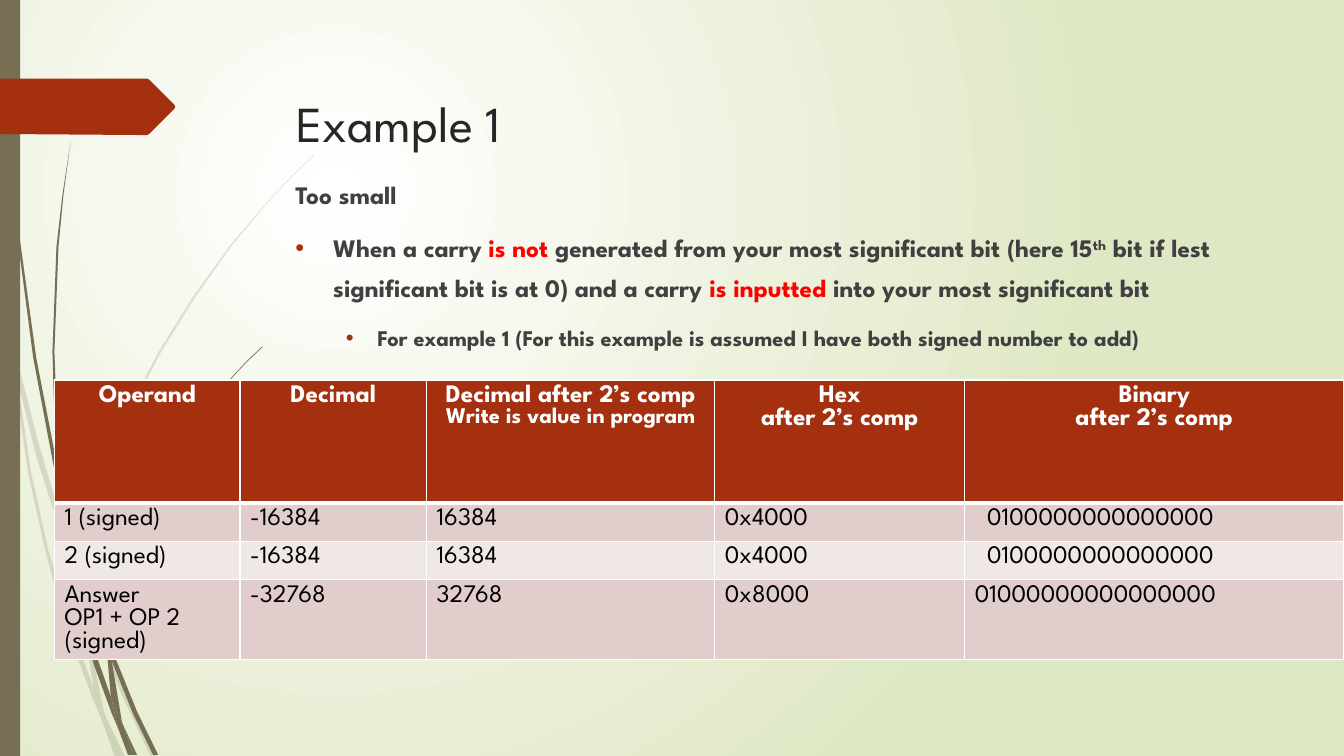
"""Build the "Example 1" slide on signed overflow when a sum is too small."""
from pptx import Presentation, oxml, util as u
from pptx.dml import color
from pptx.enum import shapes, text
from pptx.oxml import ns

FONT = "League Spartan"
RUST, OLIVE, RED, WHITE, GREY = "A53010", "766F54", "FF0000", "FFFFFF", "404040"
BANDS = ["E1CDCC", "F0E8E7"]
HUNDREDTH_INCH = u.Pt(0.72)

PALE_STALKS = [
    [(11, 350), (9, 322), (0, 282), (0, 299), (10, 344)],
    [(58, 522), (84, 599), (85, 586), (62, 520), (38, 439), (14, 345), (17, 376), (36, 453)],
    [(92, 607), (88, 596), (88, 610), (123, 694), (150, 751), (155, 751), (127, 692)],
    [(119, 751), (124, 751), (105, 711)],
    [(93, 683), (70, 619), (48, 546), (31, 469), (17, 376), (11, 350), (28, 470),
     (45, 546), (65, 621), (92, 693), (101, 714), (99, 707)],
    [(84, 599), (87, 646), (93, 683), (96, 692), (105, 711), (103, 706), (91, 646),
     (88, 610), (88, 608)],
    [(88, 584), (93, 522), (110, 462), (131, 404), (160, 349), (193, 296), (229, 245),
     (268, 198), (290, 175), (312, 154), (312, 153), (289, 175), (268, 197), (228, 244),
     (191, 295), (158, 348), (129, 403), (107, 461), (91, 522), (85, 584), (85, 586), (88, 596)],
    [(101, 714), (114, 751), (119, 751)],
    [(88, 608), (88, 610), (88, 596), (85, 586), (84, 599)],
    [(96, 692), (93, 683), (99, 707), (101, 714), (119, 751), (105, 711)],
]
DARK_STALKS = [
    [(7, 110), (17, 233), (33, 355), (56, 477), (57, 481), (55, 457), (55, 453), (36, 355),
     (19, 232), (8, 109), (5, 48), (4, 0), (3, 0), (4, 48)],
    [(88, 592), (106, 645), (106, 633), (106, 631), (93, 590), (75, 531), (60, 472),
     (64, 505), (75, 549)],
    [(113, 649), (110, 641), (111, 656), (132, 708), (152, 749), (157, 749), (136, 706)],
    [(110, 691), (98, 657), (84, 608), (72, 556), (64, 505), (57, 477), (68, 557),
     (79, 608), (93, 659), (111, 708), (117, 722), (116, 717)],
    [(60, 472), (58, 453), (54, 349), (58, 245), (63, 193), (70, 141), (62, 193),
     (56, 245), (52, 349), (55, 449)],
    [(133, 749), (136, 749), (122, 719)],
    [(57, 477), (64, 505), (60, 472), (55, 449), (55, 453)],
    [(111, 633), (115, 592), (125, 552), (140, 513), (158, 476), (180, 440), (205, 406),
     (231, 374), (245, 359), (261, 344), (260, 344), (245, 358), (231, 373), (204, 405),
     (179, 439), (156, 474), (137, 512), (122, 551), (111, 591), (106, 631), (110, 641)],
    [(117, 722), (127, 749), (131, 749)],
    [(106, 645), (110, 691), (116, 706), (122, 719), (121, 716), (111, 656), (109, 651)],
    [(106, 645), (109, 651), (111, 656), (110, 641), (106, 631), (106, 633)],
    [(116, 706), (110, 691), (116, 717), (117, 722), (130, 749), (133, 749), (122, 719)],
]
ARROW = [(173, 108), (148, 133), (146, 134), (136, 134), (0, 133), (0, 78), (146, 78),
         (148, 79), (173, 104), (174, 106)]

HEADERS = [
    [("Operand", 18)],
    [("Decimal", 18)],
    [("Decimal after 2’s comp", 18), ("Write is value in program", 16)],
    [("Hex", 18), ("after 2’s comp", 18)],
    [("Binary", 18), ("after 2’s comp", 18)],
]
ROWS = [
    ["1 (signed)", "-16384", "16384", "0x4000", "0100000000000000"],
    ["2 (signed)", "-16384", "16384", "0x4000", "0100000000000000"],
    ["Answer\nOP1 + OP 2\n(signed)", "-32768", "32768", "0x8000", "01000000000000000"],
]
COLUMN_WIDTHS = [132.5, 133.2, 205.9, 178.6, 270.7]
ROW_HEIGHTS = [87.8, 27.4, 27.4, 47.5]


def rgb(value):
    """Turn a hex string into a colour."""
    return color.RGBColor.from_string(value)


def apply(target, values):
    """Set attributes of an object from a dict."""
    for name, value in values.items():
        setattr(target, name, value)


def paint(shape, fill, opacity=100):
    """Give a shape a flat fill without line or shadow."""
    shape.shadow.inherit = False
    shape.line.fill.background()
    shape.fill.solid()
    shape.fill.fore_color.rgb = rgb(fill)
    if opacity < 100:
        hue = shape._element.spPr.find(".//" + ns.qn("a:srgbClr"))
        oxml.parse_xml_alpha = None
        hue.append(oxml.parse_xml(f'<a:alpha {ns.nsdecls("a")} val="{opacity * 1000}"/>'))


def add_outline(collection, points, fill, opacity=100):
    """Draw a closed outline given in hundredths of an inch."""
    builder = collection.build_freeform(*points[0], scale=HUNDREDTH_INCH)
    builder.add_line_segments(points[1:], close=True)
    paint(builder.convert_to_shape(), fill, opacity)


def add_stalks(slide, outlines, opacity=100):
    """Group the grass stalks of one tone."""
    group = slide.shapes.add_group_shape()
    for points in outlines:
        add_outline(group.shapes, points, OLIVE, opacity)


def add_run(paragraph, content, size, fill, bold=False, baseline=0):
    """Append formatted text to a paragraph."""
    run = paragraph.add_run()
    run.text = content
    apply(run.font, {"name": FONT, "size": u.Pt(size), "bold": bold})
    run.font.color.rgb = rgb(fill)
    if baseline:
        run._r.get_or_add_rPr().set("baseline", str(baseline * 1000))


def set_background(slide):
    """Fill the background with a glow near the upper left."""
    fill = slide.background.fill
    fill.gradient()
    for stop, value in zip(fill.gradient_stops, [WHITE, "DFE8C4"]):
        stop.color.rgb = rgb(value)
    gradient = slide._element.find(".//" + ns.qn("a:gradFill"))
    gradient.replace(gradient.find(ns.qn("a:lin")), oxml.parse_xml(
        f'<a:path {ns.nsdecls("a")} path="circle">'
        '<a:fillToRect l="50000" t="50000" r="100000" b="100000"/></a:path>'))


def place(slide, placeholder, left, top, width, height):
    """Move a placeholder in front and return its text frame."""
    slide.shapes._spTree.append(placeholder._element)
    apply(placeholder, {"left": u.Pt(left), "top": u.Pt(top),
                        "width": u.Pt(width), "height": u.Pt(height)})
    frame = placeholder.text_frame
    apply(frame, {"word_wrap": True, "auto_size": text.MSO_AUTO_SIZE.NONE,
                  "vertical_anchor": text.MSO_ANCHOR.TOP})
    return frame


def add_item(paragraph, runs, size, level=0, indent=None):
    """Write one list item, bulleted when it has an indent."""
    apply(paragraph, {"level": level, "line_spacing": 1.3, "space_before": u.Pt(10)})
    properties = paragraph._p.get_or_add_pPr()
    margin, hanging = indent or (0, 0)
    properties.set("marL", str(u.Pt(margin)))
    properties.set("indent", str(-u.Pt(hanging)))
    marks = ['<a:buNone {0}/>']
    if indent:
        marks = ['<a:buClr {0}><a:srgbClr val="%s"/></a:buClr>' % RUST,
                 '<a:buFont {0} typeface="Arial"/>', '<a:buChar {0} char="•"/>']
    for mark in marks:
        properties.append(oxml.parse_xml(mark.format(ns.nsdecls("a"))))
    for content, fill, baseline in runs:
        add_run(paragraph, content, size, fill, True, baseline)


def fill_cell(cell, lines, fill, ink, header):
    """Write, border and fill one table cell."""
    properties = cell._tc.get_or_add_tcPr()
    for side in "LRTB":
        width = u.Pt(3 if header and side == "B" else 1)
        properties.append(oxml.parse_xml(
            f'<a:ln{side} {ns.nsdecls("a")} w="{width}"><a:solidFill>'
            f'<a:srgbClr val="{WHITE}"/></a:solidFill></a:ln{side}>'))
    cell.fill.solid()
    cell.fill.fore_color.rgb = rgb(fill)
    for index, (content, size) in enumerate(lines):
        frame = cell.text_frame
        paragraph = frame.add_paragraph() if index else frame.paragraphs[0]
        paragraph.alignment = text.PP_ALIGN.CENTER if header else text.PP_ALIGN.LEFT
        add_run(paragraph, content, size, ink, header)


def add_operand_table(slide):
    """Add the table of operands and their sum."""
    table = slide.shapes.add_table(
        len(ROW_HEIGHTS), len(COLUMN_WIDTHS), u.Pt(39), u.Pt(271.4),
        u.Pt(sum(COLUMN_WIDTHS)), u.Pt(sum(ROW_HEIGHTS))).table
    for column, width in zip(table.columns, COLUMN_WIDTHS):
        column.width = u.Pt(width)
    for row, height in zip(table.rows, ROW_HEIGHTS):
        row.height = u.Pt(height)
    for index, lines in enumerate(HEADERS):
        fill_cell(table.cell(0, index), lines, RUST, WHITE, True)
    for number, row in enumerate(ROWS):
        for index, content in enumerate(row):
            lines = [(line, 18) for line in content.split("\n")]
            fill_cell(table.cell(number + 1, index), lines, BANDS[number % 2], "000000", False)
    for number in (1, 2):
        table.cell(number, 4).margin_left = u.Pt(16)


def main():
    """Build and save the slide."""
    presentation = Presentation()
    apply(presentation, {"slide_width": u.Pt(960), "slide_height": u.Pt(540)})
    slide = presentation.slides.add_slide(presentation.slide_layouts[1])
    set_background(slide)
    add_stalks(slide, PALE_STALKS, 20)
    add_stalks(slide, DARK_STALKS)
    bar = slide.shapes.add_shape(shapes.MSO_SHAPE.RECTANGLE, 0, 0, u.Pt(14.4), u.Pt(540))
    paint(bar, OLIVE)
    add_outline(slide.shapes, ARROW, RUST)
    title, body = slide.placeholders
    heading = place(slide, title, 204.5, 49, 702, 100.8).paragraphs[0]
    apply(heading, {"alignment": text.PP_ALIGN.LEFT, "line_spacing": 1.3})
    add_run(heading, "Example 1", 36, "262626")
    frame = place(slide, body, 203.8, 118, 702, 372.2)
    add_item(frame.paragraphs[0], [("Too small", GREY, 0)], 18)
    add_item(frame.add_paragraph(), [
        ("When a carry ", GREY, 0), ("is not ", RED, 0),
        ("generated from your most significant bit (here 15", GREY, 0), ("th", GREY, 30),
        (" bit if lest significant bit is at 0) and a carry ", GREY, 0),
        ("is inputted ", RED, 0), ("into your most significant bit", GREY, 0)], 18, 0, (27, 27))
    add_item(frame.add_paragraph(), [
        ("For example 1 (For this example is assumed I have both signed number to add)",
         GREY, 0)], 16, 1, (58.5, 22.5))
    add_operand_table(slide)
    presentation.save("out.pptx")


main()
